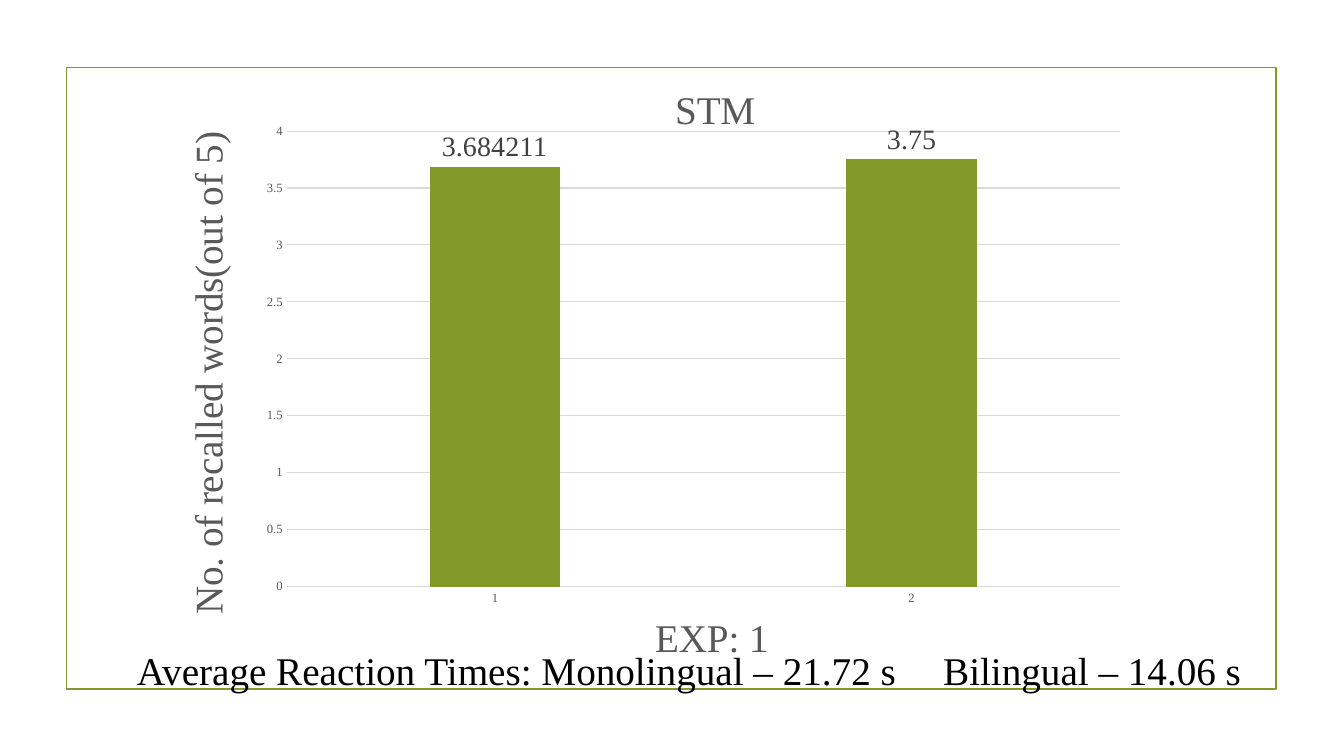
from dataclasses import dataclass

from lxml import etree
from pptx import Presentation
from pptx import util as u
from pptx.chart import data
from pptx.dml import color
from pptx.enum import chart as ch, shapes
from pptx.oxml import ns


@dataclass(frozen=True)
class Theme:
    font: str = "Times New Roman"
    green: str = "83992A"
    black: str = "000000"
    dark: str = "404040"
    grey: str = "595959"
    pale: str = "D9D9D9"
    large: int = 28
    mid: int = 20
    small: int = 9


look = Theme()


def style(font, size, tint):
    font.name = look.font
    font.size = u.Pt(size)
    font.bold = False
    font.color.rgb = color.RGBColor.from_string(tint)


def write(frame, words, size=look.large, tint=look.black):
    para = frame.paragraphs[0]
    run = para.add_run()
    run.text = words
    style(run.font, size, tint)


def stroke(line, tint, width):
    line.color.rgb = color.RGBColor.from_string(tint)
    line.width = u.Pt(width)


def place(node, index, **marks):
    for old in node.findall(ns.qn("c:layout")):
        node.remove(old)
    lay = etree.Element(ns.qn("c:layout"))
    node.insert(index, lay)
    manual = etree.SubElement(lay, ns.qn("c:manualLayout"))
    for name, val in marks.items():
        etree.SubElement(manual, ns.qn("c:" + name)).set("val", str(val))


def border(slide, left, top, width, height):
    rect = slide.shapes.add_shape(
        shapes.MSO_SHAPE.RECTANGLE, left, top, width, height)
    rect.shadow.inherit = False
    rect.fill.background()
    stroke(rect.line, look.green, 1.25)


def heading(owner, words, x, y):
    write(owner.text_frame, words, tint=look.grey)
    node = owner.text_frame._txBody.getparent().getparent().getparent() \
        if owner.text_frame._txBody.getparent().tag == ns.qn("c:tx") and False \
        else owner.text_frame._txBody.xpath("ancestor::c:title")[0]
    place(node, 1, xMode="edge", yMode="edge", x=x, y=y)


def graph(slide, left, top, width, height):
    table = data.CategoryChartData()
    table.categories = ["1", "2"]
    table.add_series("Series 1", [3.684211, 3.75])
    chart = slide.shapes.add_chart(
        ch.XL_CHART_TYPE.COLUMN_CLUSTERED, left, top, width, height, table).chart
    style(chart.font, look.small, look.grey)
    chart.has_legend = False
    chart.has_title = True
    heading(chart.chart_title, "STM", 0.55, 0.05)

    cat, val = chart.category_axis, chart.value_axis
    heading(cat.axis_title, "EXP: 1", 0.53, 0.85)
    heading(val.axis_title, "No. of recalled words(out of 5)", 0.06, 0.12)
    body = val.axis_title.text_frame._txBody.find(ns.qn("a:bodyPr"))
    body.set("rot", "-5400000")
    body.set("vert", "horz")
    for axis in (cat, val):
        axis.major_tick_mark = axis.minor_tick_mark = ch.XL_TICK_MARK.NONE
        style(axis.tick_labels.font, look.small, look.grey)
    stroke(cat.format.line, look.pale, 0.75)
    val.format.line.fill.background()
    val.minimum_scale, val.maximum_scale, val.major_unit = 0, 4, 0.5
    val.has_major_gridlines = True
    stroke(val.major_gridlines.format.line, look.pale, 0.75)

    plot = chart.plots[0]
    plot.gap_width, plot.overlap = 219, -27
    plot.vary_by_categories = False
    bars = plot.series[0]
    bars.format.fill.solid()
    bars.format.fill.fore_color.rgb = color.RGBColor.from_string(look.green)
    tags = bars.data_labels
    tags.show_value = True
    tags.position = ch.XL_LABEL_POSITION.OUTSIDE_END
    tags.number_format = "General"
    tags.number_format_is_linked = False
    style(tags.font, look.mid, look.dark)

    area = chart._chartSpace.xpath("c:chart/c:plotArea")[0]
    place(area, 0, layoutTarget="inner", xMode="edge", yMode="edge",
          x=0.17, y=0.13, w=0.83, h=0.69)


def caption(slide, left, top, width, height):
    frame = slide.shapes.add_textbox(left, top, width, height).text_frame
    frame.word_wrap = True
    write(frame, "Average Reaction Times: Monolingual – 21.72 s\tBilingual – 14.06 s")


def main():
    deck = Presentation()
    deck.slide_width, deck.slide_height = u.Cm(33.87), u.Cm(19.05)
    slide = deck.slides.add_slide(deck.slide_layouts[6])
    border(slide, u.Cm(1.68), u.Cm(1.7), u.Cm(30.48), u.Cm(15.67))
    graph(slide, u.Cm(2.92), u.Cm(1.14), u.Cm(25.32), u.Cm(16.64))
    caption(slide, u.Cm(3.2), u.Cm(16.15), u.Cm(28.37), u.Cm(1.45))
    deck.save("out.pptx")


if __name__ == "__main__":
    main()
